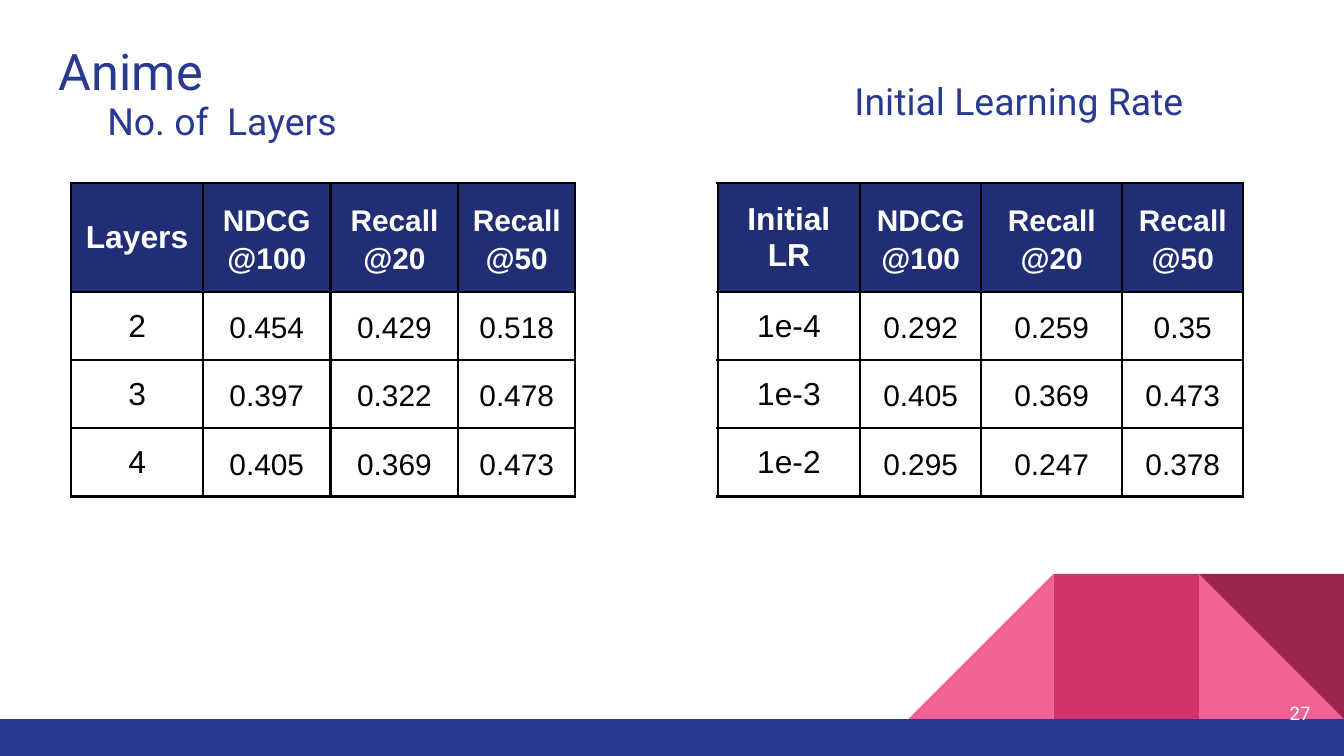
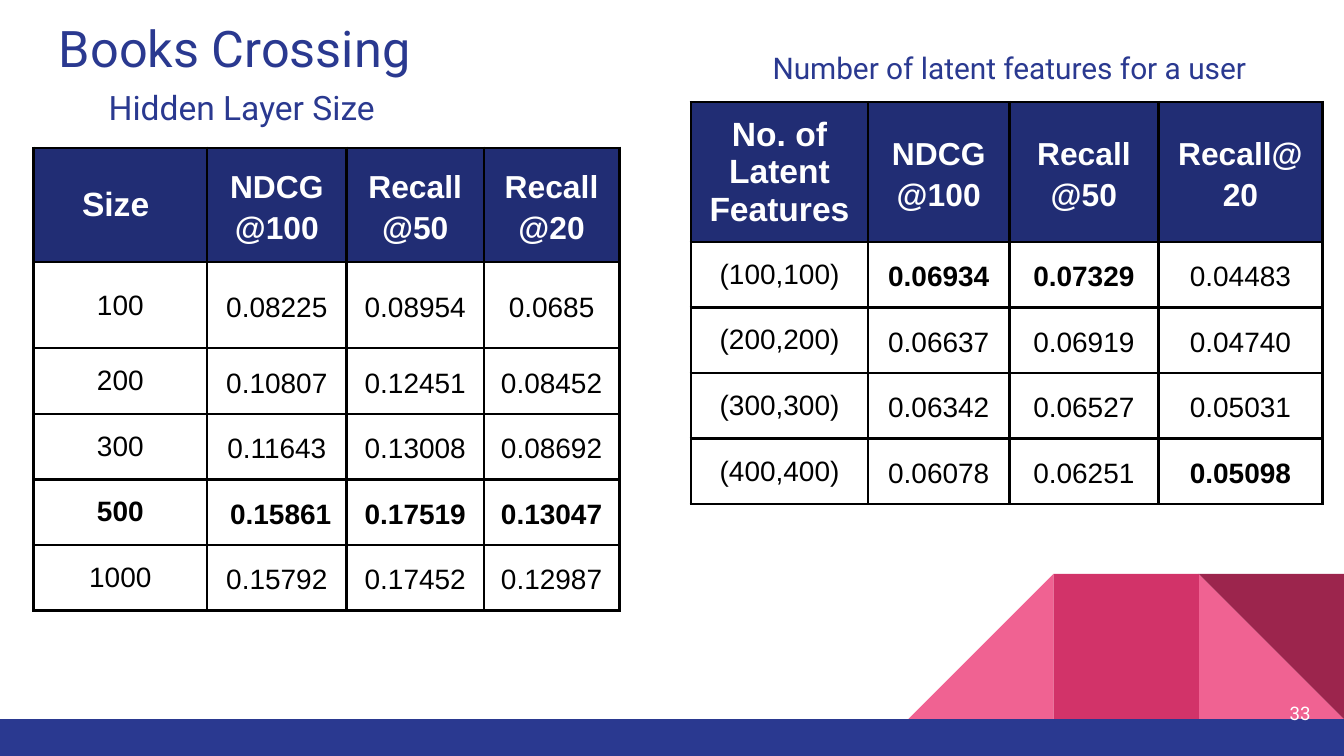
from dataclasses import dataclass

from lxml import etree
from pptx import Presentation
from pptx.dml.color import RGBColor
from pptx.enum.shapes import MSO_SHAPE
from pptx.enum.text import MSO_ANCHOR, PP_ALIGN
from pptx.oxml.ns import qn
from pptx.slide import Slide
from pptx.table import _Cell
from pptx.util import Inches, Pt

NAVY = RGBColor(0x2A, 0x39, 0x90)
HEAD = RGBColor(0x21, 0x2D, 0x74)
PINK = RGBColor(0xF0, 0x62, 0x92)
ROSE = RGBColor(0xD2, 0x33, 0x69)
WINE = RGBColor(0x9C, 0x25, 0x4D)
WHITE = RGBColor(0xFF, 0xFF, 0xFF)
BLACK = RGBColor(0, 0, 0)

RECT, WEDGE = MSO_SHAPE.RECTANGLE, MSO_SHAPE.RIGHT_TRIANGLE
LEFT, CENTER, RIGHT = PP_ALIGN.LEFT, PP_ALIGN.CENTER, PP_ALIGN.RIGHT
TOP, MIDDLE = MSO_ANCHOR.TOP, MSO_ANCHOR.MIDDLE

TITLE_FONT, TABLE_FONT = "Roboto", "Arial"
TILE, TILE_TOP, BAND_TOP = 1.08, 4.27, 5.35
BORDER = Pt(1.5)


@dataclass(frozen=True)
class Piece:
    kind: MSO_SHAPE
    left: float
    top: float
    width: float
    height: float
    color: RGBColor
    flip: bool = False
    turn: int = 0


@dataclass(frozen=True)
class Label:
    text: str
    left: float
    top: float
    width: float
    size: int
    height: float = 0.66
    color: RGBColor = NAVY
    align: PP_ALIGN = LEFT
    anchor: MSO_ANCHOR = TOP


@dataclass(frozen=True)
class Grid:
    """A result table; sizes are (key, value) points, best holds bold (row, column) cells."""
    left: float
    top: float
    widths: list[float]
    heights: list[float]
    head_sizes: tuple[int, int]
    body_sizes: tuple[int, int]
    rows: list[list[str]]
    best: frozenset[tuple[int, int]] = frozenset()


@dataclass(frozen=True)
class Page:
    number: int
    labels: list[Label]
    grids: list[Grid]


DECOR = [
    Piece(WEDGE, 10 - TILE, TILE_TOP, TILE, TILE, PINK),
    Piece(WEDGE, 10 - 3 * TILE, TILE_TOP, TILE, TILE, PINK, flip=True),
    Piece(RECT, 10 - 2 * TILE, TILE_TOP, TILE, TILE, ROSE),
    Piece(WEDGE, 10 - TILE, TILE_TOP, TILE, TILE, WINE, turn=180),
    Piece(RECT, 0, BAND_TOP, 10, 0.28, NAVY),
]

PAGES = [
    Page(
        27,
        [
            Label("Anime", 0.34, 0.2, 9.32, 27),
            Label("No. of  Layers", 0.7, 0.63, 2.77, 20),
            Label("Initial Learning Rate", 6.26, 0.48, 2.77, 20),
        ],
        [
            Grid(
                0.53, 1.36, [0.98, 0.95, 0.95, 0.87], [0.77] + [0.48] * 3, (17, 16), (17, 16),
                [
                    ["Layers", "NDCG@100", "Recall@20", "Recall@50"],
                    ["2", "0.454", "0.429", "0.518"],
                    ["3", "0.397", "0.322", "0.478"],
                    ["4", "0.405", "0.369", "0.473"],
                ],
            ),
            Grid(
                5.34, 1.36, [1.06, 0.9, 1.05, 0.9], [0.77] + [0.48] * 3, (17, 16), (17, 16),
                [
                    ["Initial LR", "NDCG@100", "Recall@20", "Recall@50"],
                    ["1e-4", "0.292", "0.259", "0.35"],
                    ["1e-3", "0.405", "0.369", "0.473"],
                    ["1e-2", "0.295", "0.247", "0.378"],
                ],
            ),
        ],
    ),
    Page(
        33,
        [
            Label("Books Crossing", 0.34, 0.03, 9.32, 27),
            Label("Hidden Layer Size", 0.71, 0.55, 2.77, 18),
            Label("Number of latent features for a user", 5.65, 0.27, 3.92, 16),
        ],
        [
            Grid(
                0.25, 1.1, [1.29, 1.04, 1.02, 1.01], [0.8, 0.64] + [0.46] * 4, (18, 17), (15, 15),
                [
                    ["Size ", "NDCG@100", "Recall@50", "Recall@20"],
                    ["100", "0.08225", "0.08954", "0.0685"],
                    ["200", "0.10807", "0.12451", "0.08452"],
                    ["300", "0.11643", "0.13008", "0.08692"],
                    ["500", " 0.15861", "0.17519", "0.13047"],
                    ["1000", "0.15792", "0.17452", "0.12987"],
                ],
                frozenset((4, col) for col in range(4)),
            ),
            Grid(
                5.14, 0.76, [1.32, 1.05, 1.11, 1.22], [0.98] + [0.46] * 4, (18, 17), (15, 15),
                [
                    ["No. of Latent Features", "NDCG@100", "Recall@50", "Recall@20"],
                    ["(100,100)", "0.06934", "0.07329", "0.04483"],
                    ["(200,200)", "0.06637", "0.06919", "0.04740"],
                    ["(300,300)", "0.06342", "0.06527", "0.05031"],
                    ["(400,400)", "0.06078", "0.06251", "0.05098"],
                ],
                frozenset({(1, 1), (1, 2), (4, 3)}),
            ),
        ],
    ),
]


def add_decor(slide: Slide) -> None:
    group = slide.shapes.add_group_shape()
    for piece in DECOR:
        shape = group.shapes.add_shape(
            piece.kind, Inches(piece.left), Inches(piece.top),
            Inches(piece.width), Inches(piece.height),
        )
        shape.shadow.inherit = False
        shape.fill.solid()
        shape.fill.fore_color.rgb = piece.color
        shape.line.fill.background()
        shape.rotation = piece.turn
        if piece.flip:
            shape.element.spPr.xfrm.set("flipH", "1")


def add_label(slide: Slide, label: Label) -> None:
    box = slide.shapes.add_textbox(
        Inches(label.left), Inches(label.top), Inches(label.width), Inches(label.height)
    )
    frame = box.text_frame
    frame.word_wrap = True
    frame.vertical_anchor = label.anchor
    frame.margin_left = frame.margin_right = Inches(0.1)
    frame.margin_top = frame.margin_bottom = Inches(0.1)
    frame.text = label.text
    para = frame.paragraphs[0]
    para.alignment = label.align
    font = para.runs[0].font
    font.name, font.size = TITLE_FONT, Pt(label.size)
    font.color.rgb = label.color


def add_border(cell: _Cell) -> None:
    """Draw all four sides; the lines must come before the cell's fill."""
    props = cell._tc.get_or_add_tcPr()
    for spot, side in enumerate(("a:lnL", "a:lnR", "a:lnT", "a:lnB")):
        line = etree.Element(qn(side), w=str(BORDER))
        fill = etree.SubElement(line, qn("a:solidFill"))
        etree.SubElement(fill, qn("a:srgbClr"), val=str(BLACK))
        props.insert(spot, line)


def fill_cell(cell: _Cell, text: str, size: int, head: bool, key: bool, bold: bool) -> None:
    margin = Inches(0.07 if key else 0.1)
    cell.margin_left = cell.margin_right = margin
    cell.margin_top = cell.margin_bottom = margin
    cell.vertical_anchor = MIDDLE
    if head:
        cell.fill.solid()
        cell.fill.fore_color.rgb = HEAD
    else:
        cell.fill.background()
    add_border(cell)
    cell.text_frame.text = text
    para = cell.text_frame.paragraphs[0]
    para.alignment = CENTER
    if not key:
        para.line_spacing = 1.15
    font = para.runs[0].font
    font.name, font.size, font.bold = TABLE_FONT, Pt(size), bold
    font.color.rgb = WHITE if head else BLACK


def add_grid(slide: Slide, grid: Grid) -> None:
    table = slide.shapes.add_table(
        len(grid.heights), len(grid.widths), Inches(grid.left), Inches(grid.top),
        Inches(sum(grid.widths)), Inches(sum(grid.heights)),
    ).table
    table.horz_banding = False
    for column, width in zip(table.columns, grid.widths):
        column.width = Inches(width)
    for row, height in zip(table.rows, grid.heights):
        row.height = Inches(height)
    for r, texts in enumerate(grid.rows):
        head = r == 0
        sizes = grid.head_sizes if head else grid.body_sizes
        for c, text in enumerate(texts):
            key = c == 0
            bold = head or (r, c) in grid.best
            fill_cell(table.cell(r, c), text, sizes[0 if key else 1], head, key, bold)


def main() -> None:
    deck = Presentation()
    deck.slide_width, deck.slide_height = Inches(10), Inches(5.625)
    for page in PAGES:
        slide = deck.slides.add_slide(deck.slide_layouts[6])
        add_decor(slide)
        add_label(slide, Label(str(page.number), 9.25, 5.09, 0.6, 10, 0.43, WHITE, RIGHT, MIDDLE))
        for label in page.labels:
            add_label(slide, label)
        for grid in page.grids:
            add_grid(slide, grid)
    deck.save("out.pptx")


if __name__ == "__main__":
    main()
